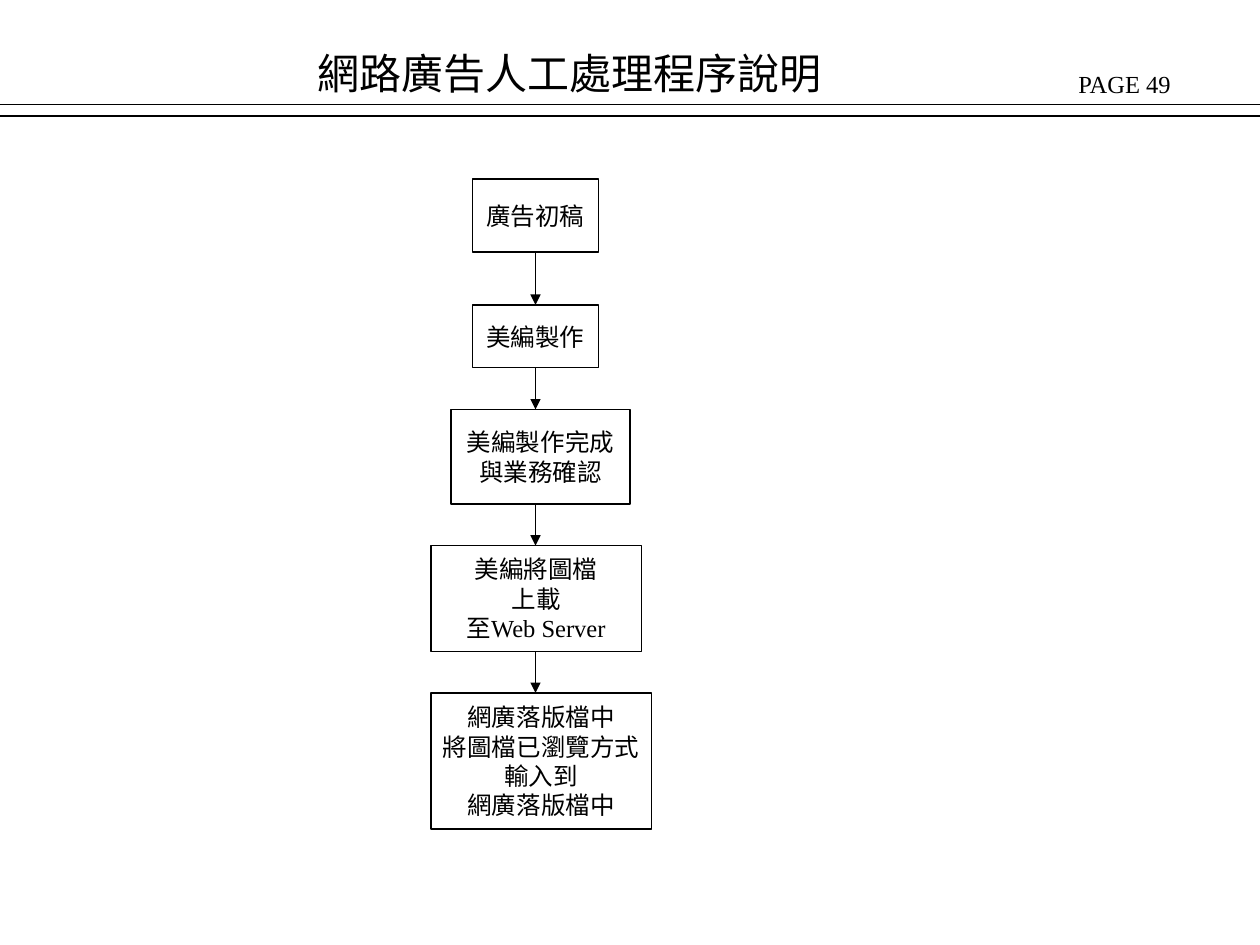
from pptx import Presentation
from pptx.dml.color import RGBColor
from pptx.enum.shapes import MSO_CONNECTOR as CONN, MSO_SHAPE as SHAPE
from pptx.enum.text import MSO_ANCHOR as ANCHOR, MSO_AUTO_SIZE as AUTO, PP_ALIGN as ALIGN
from pptx.oxml.ns import qn
from pptx.util import Inches, Pt
from lxml import etree

BLACK = RGBColor(0x00, 0x00, 0x00)
FONT = "Times New Roman"


class FlowSlide:
    """Holds the style and the current slide."""

    text_size = 14
    title_size = 24
    line_width = 0.75

    def __init__(self, prs):
        self.s = prs.slides.add_slide(prs.slide_layouts[5])

    def set_text(self, tf, lines, size, align, anchor, wrap):
        tf.word_wrap = wrap
        tf.auto_size = AUTO.NONE
        tf.vertical_anchor = anchor
        for i, line in enumerate(lines):
            p = tf.paragraphs[0] if i == 0 else tf.add_paragraph()
            p.alignment = align
            r = p.add_run()
            r.text = line
            r.font.size = Pt(size)
            r.font.name = FONT
            r.font.color.rgb = BLACK

    def title(self, text, x, y, w, h):
        sp = self.s.shapes.title
        sp.left, sp.top, sp.width, sp.height = map(Inches, (x, y, w, h))
        self.set_text(sp.text_frame, [text], self.title_size, ALIGN.LEFT, ANCHOR.TOP, True)

    def label(self, text, x, y, w, h):
        sp = self.s.shapes.add_textbox(*map(Inches, (x, y, w, h)))
        self.set_text(sp.text_frame, [text], self.text_size, ALIGN.LEFT, ANCHOR.TOP, True)

    def box(self, lines, x, y, w, h):
        sp = self.s.shapes.add_shape(SHAPE.RECTANGLE, *map(Inches, (x, y, w, h)))
        sp.shadow.inherit = False
        sp.fill.background()
        sp.line.color.rgb = BLACK
        sp.line.width = Pt(self.line_width)
        self.set_text(sp.text_frame, lines, self.text_size, ALIGN.CENTER, ANCHOR.MIDDLE, False)

    def line(self, x1, y1, x2, y2, arrow=False):
        cx = self.s.shapes.add_connector(CONN.STRAIGHT, *map(Inches, (x1, y1, x2, y2)))
        cx.line.color.rgb = BLACK
        cx.line.width = Pt(self.line_width)
        sp_pr = cx.element.spPr
        if arrow:
            etree.SubElement(sp_pr.find(qn("a:ln")), qn("a:tailEnd"), type="triangle")
        etree.SubElement(sp_pr, qn("a:effectLst"))


def main():
    prs = Presentation()
    prs.slide_width, prs.slide_height = Inches(10), Inches(7.5)
    slide = FlowSlide(prs)

    # Header with double rule
    slide.label("PAGE 49", 8.46, 0.5, 1.57, 0.34)
    slide.title("網路廣告人工處理程序說明", 2.42, 0.33, 4.92, 0.5)
    for y in (0.83, 0.92):
        slide.line(0, y, 10, y)

    # Steps: lines of text, left, top, width, height
    steps = [
        (["廣告初稿"], 3.75, 1.42, 1, 0.58),
        (["美編製作"], 3.75, 2.42, 1, 0.5),
        (["美編製作完成", "與業務確認"], 3.58, 3.25, 1.42, 0.75),
        (["美編將圖檔", "上載", "至Web Server"], 3.42, 4.33, 1.67, 0.84),
        (["網廣落版檔中", "將圖檔已瀏覽方式", "輸入到", "網廣落版檔中"], 3.42, 5.5, 1.75, 1.08),
    ]
    for step in steps:
        slide.box(*step)

    # Arrows from the bottom of each step to the top of the next
    axis = 4.25
    for (_, _, top, _, height), (_, _, next_top, _, _) in zip(steps, steps[1:]):
        slide.line(axis, top + height, axis, next_top, arrow=True)

    prs.save("out.pptx")


if __name__ == "__main__":
    main()
